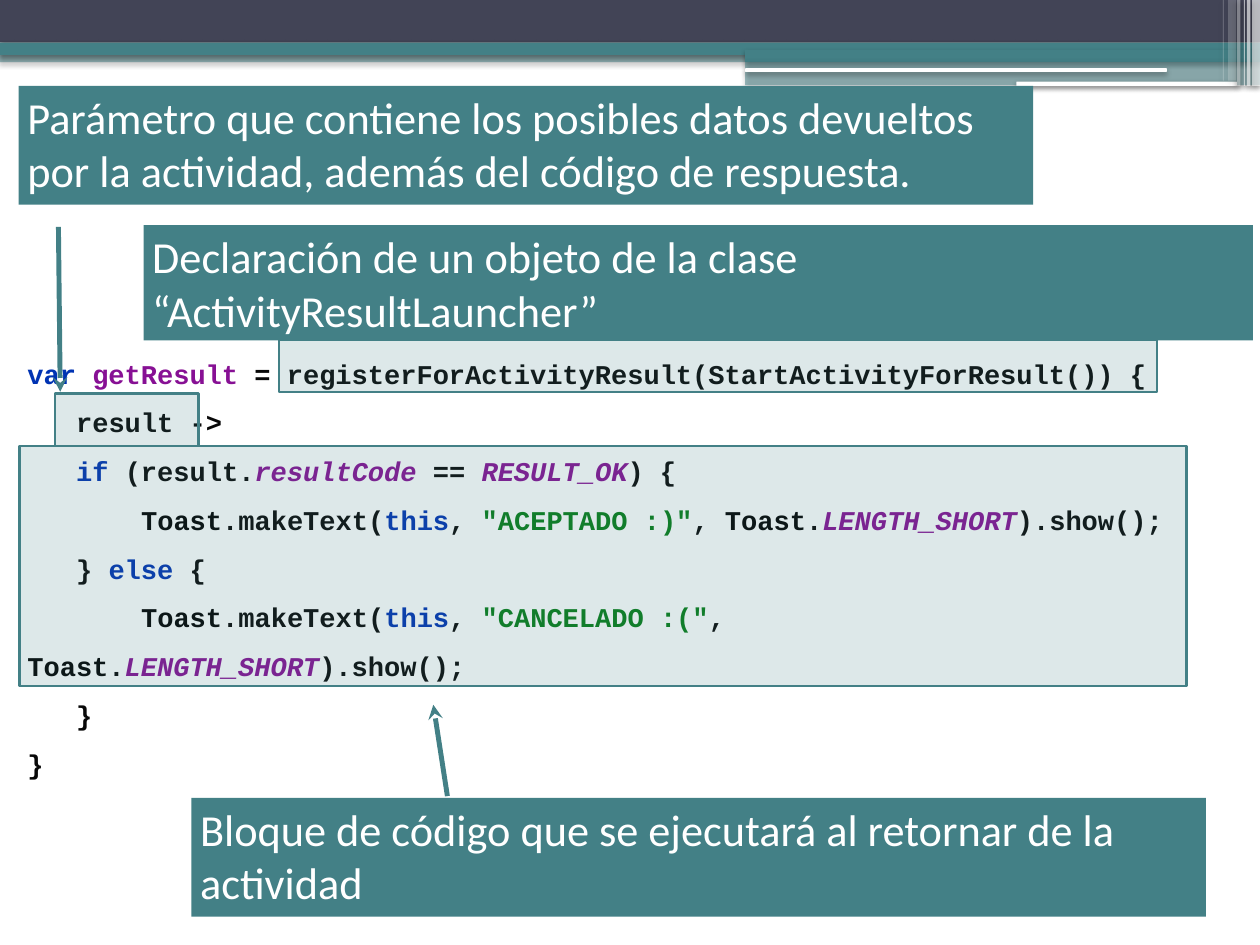
from dataclasses import dataclass

from lxml.etree import SubElement
from pptx import Presentation
from pptx.dml.color import RGBColor
from pptx.enum.shapes import MSO_CONNECTOR, MSO_SHAPE
from pptx.enum.text import MSO_ANCHOR, PP_ALIGN
from pptx.oxml.ns import qn
from pptx.util import Inches, Pt

WIDTH, HEIGHT = Inches(14.22), Inches(10.66)


@dataclass(frozen=True)
class Theme:
    teal: str = "438086"
    slate: str = "424456"
    white: str = "FFFFFF"
    black: str = "000000"
    code: str = "080808"
    keyword: str = "0033B3"
    member: str = "871094"
    string: str = "067D17"
    callout_font: str = "Calibri"
    code_font: str = "Courier New"
    callout_size: int = 36
    code_size: int = 22


THEME = Theme()
PLAIN = (THEME.code, False)
CLASS = (THEME.black, False)
KEYWORD = (THEME.keyword, False)
NAME = (THEME.member, False)
MEMBER = (THEME.member, True)
STRING = (THEME.string, False)


def across(share):
    return round(WIDTH * share / 100)


def down(share):
    return round(HEIGHT * share / 100)


def add_shadow(shape):
    effects = shape._element.spPr.find(qn("a:effectLst"))
    shadow = SubElement(effects, qn("a:outerShdw"), blurRad=str(Pt(4.1)),
                        dist=str(Pt(2)), dir="5400000", rotWithShape="0")
    color = SubElement(shadow, qn("a:srgbClr"), val=THEME.black)
    SubElement(color, qn("a:alpha"), val="40000")


def add_panel(slide, area, color, opacity=100, outline=None, rounded=False, shadow=False):
    left, top, width, height = area
    kind = MSO_SHAPE.ROUNDED_RECTANGLE if rounded else MSO_SHAPE.RECTANGLE
    panel = slide.shapes.add_shape(kind, across(left), down(top), across(width), down(height))
    panel.shadow.inherit = False
    panel.fill.solid()
    panel.fill.fore_color.rgb = RGBColor.from_string(color)
    if opacity < 100:
        tint = panel._element.spPr.find(qn("a:solidFill"))[0]
        SubElement(tint, qn("a:alpha"), val=str(opacity * 1000))
    if outline:
        panel.line.color.rgb = RGBColor.from_string(outline)
        panel.line.width = Pt(2)
    else:
        panel.line.fill.background()
    if shadow:
        add_shadow(panel)
    return panel


def write(paragraph, text, *, font, size, color, bold=False, italic=False):
    run = paragraph.add_run()
    run.text = text
    run.font.name = font
    run.font.size = Pt(size)
    run.font.bold = bold
    run.font.italic = italic
    run.font.color.rgb = RGBColor.from_string(color)


def prepare_text(panel, anchor):
    frame = panel.text_frame
    frame.word_wrap = True
    frame.vertical_anchor = anchor
    return frame


def add_callout(slide, area, text):
    panel = add_panel(slide, area, THEME.teal)
    paragraph = prepare_text(panel, MSO_ANCHOR.TOP).paragraphs[0]
    paragraph.alignment = PP_ALIGN.LEFT
    write(paragraph, text, font=THEME.callout_font, size=THEME.callout_size, color=THEME.white)


def add_code(slide, area, lines):
    frame = prepare_text(add_panel(slide, area, THEME.white), MSO_ANCHOR.MIDDLE)
    character = Pt(THEME.code_size * 0.6)
    for number, (indent, parts) in enumerate(lines):
        paragraph = frame.add_paragraph() if number else frame.paragraphs[0]
        paragraph.alignment = PP_ALIGN.LEFT
        paragraph.line_spacing = 1.5
        properties = paragraph._p.get_or_add_pPr()
        properties.set("marL", "0")
        properties.set("indent", str(indent * character))
        for text, (color, italic) in parts:
            write(paragraph, text, font=THEME.code_font, size=THEME.code_size,
                  color=color, bold=True, italic=italic)


def add_highlight(slide, area):
    add_panel(slide, area, THEME.teal, opacity=18, outline=THEME.teal)


def add_arrow(slide, start, end):
    arrow = slide.shapes.add_connector(MSO_CONNECTOR.STRAIGHT, across(start[0]), down(start[1]),
                                       across(end[0]), down(end[1]))
    arrow.line.color.rgb = RGBColor.from_string(THEME.teal)
    arrow.line.width = Pt(4)
    SubElement(arrow.line._get_or_add_ln(), qn("a:tailEnd"), type="stealth")
    SubElement(arrow._element.spPr, qn("a:effectLst"))


def add_header(slide):
    bands = [
        ((0, 5.35, 100, 1.22), THEME.teal, 50),
        ((0, 0, 100, 4.5), THEME.slate, 100),
        ((0, 4.5, 100, 1.31), THEME.teal, 100),
        ((59.14, 5.25, 40.86, 1.31), THEME.teal, 100),
        ((59.14, 6.38, 40.86, 2.63), THEME.teal, 50),
    ]
    for area, color, opacity in bands:
        add_panel(slide, area, color, opacity, shadow=True)
    for area in [(59.14, 7.22, 33.47, 0.38), (80.66, 8.63, 17.51, 0.47)]:
        add_panel(slide, area, THEME.white, rounded=True, shadow=True)
    stripes = [
        (99.37, 0.63, 9.1, 65), (98.95, 0.28, 9.1, 65), (98.73, 0.07, 9.1, 60),
        (98.17, 0.28, 9.1, 40), (97.47, 0.63, 8.54, 20), (97.05, 0.07, 8.54, 30),
    ]
    for left, width, height, opacity in stripes:
        add_panel(slide, (left, 0, width, height), THEME.white, opacity, shadow=True)


def toast_line(message):
    return 7, [("Toast", CLASS), (".makeText(", PLAIN), ("this", KEYWORD), (", ", PLAIN),
               (f'"{message}"', STRING), (", ", PLAIN), ("Toast", CLASS), (".", PLAIN),
               ("LENGTH_SHORT", MEMBER), (").show();", PLAIN)]


def main():
    deck = Presentation()
    deck.slide_width, deck.slide_height = WIDTH, HEIGHT
    slide = deck.slides.add_slide(deck.slide_layouts[6])
    add_header(slide)
    add_code(slide, (1.48, 35.83, 92.62, 46.9), [
        (0, [("var ", KEYWORD), ("getResult ", NAME),
             ("= registerForActivityResult(StartActivityForResult()) {", PLAIN)]),
        (3, [("result ->", PLAIN)]),
        (3, [("if ", KEYWORD), ("(result.", PLAIN), ("resultCode ", MEMBER), ("== ", PLAIN),
             ("RESULT_OK", MEMBER), (") {", PLAIN)]),
        toast_line("ACEPTADO :)"),
        (3, [("} ", PLAIN), ("else ", KEYWORD), ("{", PLAIN)]),
        toast_line("CANCELADO :("),
        (3, [("}", PLAIN)]),
        (0, [("}", PLAIN)]),
    ])
    add_callout(slide, (11.39, 23.83, 88.05, 12.2),
                "Declaración de un objeto de la clase “ActivityResultLauncher”")
    for area in [(22.15, 35.93, 69.69, 5.53), (4.36, 41.65, 11.39, 5.53),
                 (1.55, 47.19, 92.62, 25.42)]:
        add_highlight(slide, area)
    add_callout(slide, (15.19, 84.43, 80.52, 12.57),
                "Bloque de código que se ejecutará al retornar de la actividad")
    add_arrow(slide, (35.51, 84.24), (34.39, 74.58))
    add_callout(slide, (1.48, 9.1, 80.52, 12.57),
                "Parámetro que contiene los posibles datos devueltos por la actividad, "
                "además del código de respuesta.")
    add_arrow(slide, (4.64, 24.02), (4.78, 41.46))
    deck.save("out.pptx")


if __name__ == "__main__":
    main()
